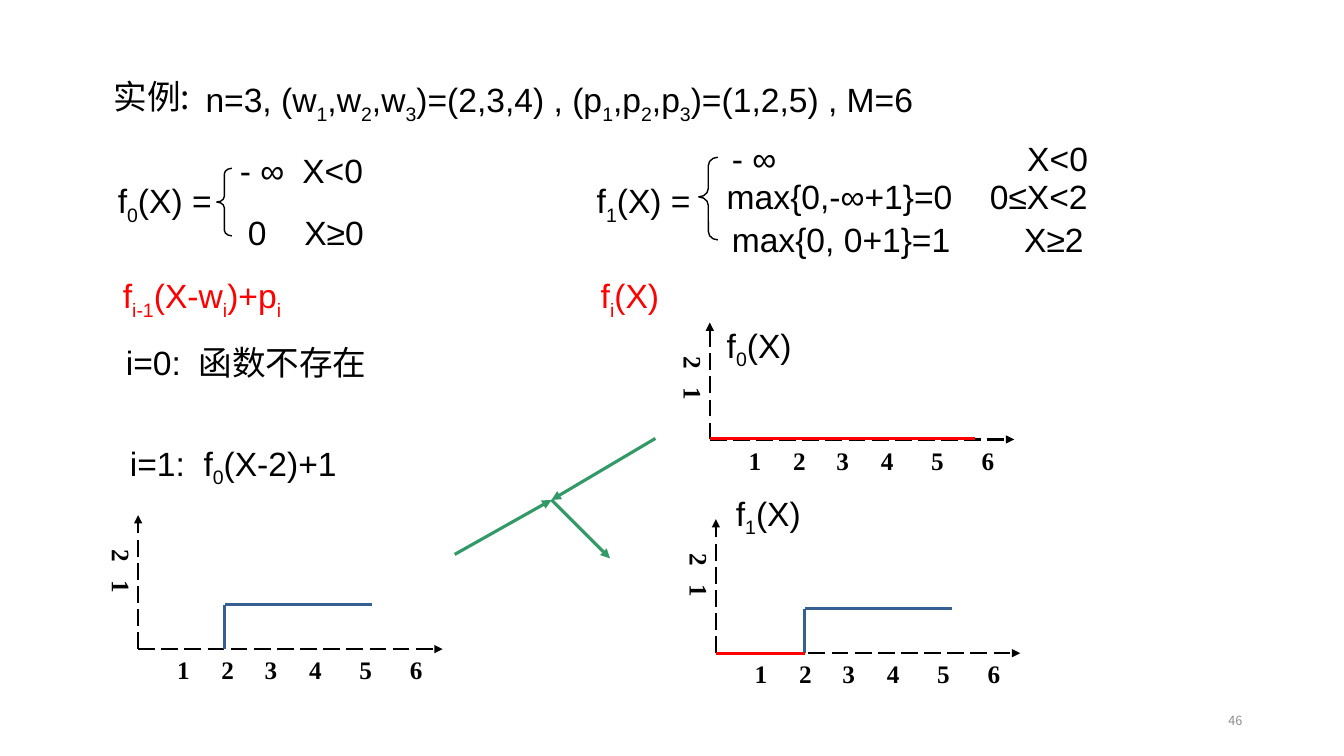
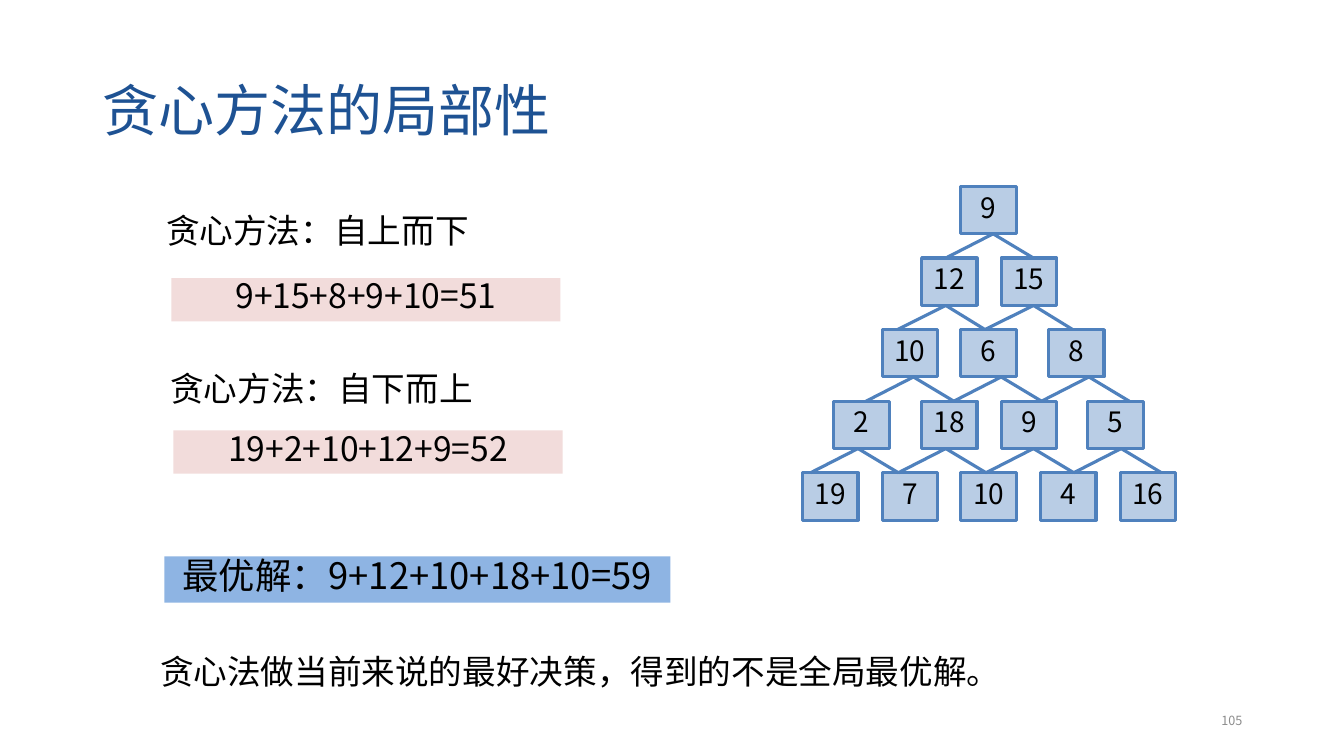
from dataclasses import dataclass
from typing import Any

from lxml import etree
from pptx import Presentation
from pptx.dml.color import RGBColor
from pptx.enum.dml import MSO_LINE
from pptx.enum.shapes import MSO_CONNECTOR, MSO_SHAPE
from pptx.enum.text import MSO_ANCHOR, PP_ALIGN
from pptx.oxml.ns import qn
from pptx.util import Inches, Pt

LEFT, CENTER, RIGHT = PP_ALIGN.LEFT, PP_ALIGN.CENTER, PP_ALIGN.RIGHT
TOP, MIDDLE = MSO_ANCHOR.TOP, MSO_ANCHOR.MIDDLE
RECT, BRACE = MSO_SHAPE.RECTANGLE, MSO_SHAPE.LEFT_BRACE
STRAIGHT = MSO_CONNECTOR.STRAIGHT
LONG_DASH = MSO_LINE.LONG_DASH


@dataclass(frozen=True)
class Theme:
    ink: str = "000000"
    red: str = "FF0000"
    green: str = "339966"
    step: str = "376092"
    title: str = "1E5293"
    muted: str = "8C8C8C"
    pink: str = "F2DCDB"
    blue: str = "8EB4E3"
    node: str = "B9CDE5"
    edge: str = "4F81BD"
    arial: str = "Arial"
    cjk: str = "Noto Sans CJK SC"
    serif: str = "Times New Roman"
    title_size: int = 40
    answer_size: int = 26
    body_size: int = 24
    node_size: int = 20
    tick_size: int = 18
    page_size: int = 9


T = Theme()


@dataclass(frozen=True)
class Style:
    font: str = T.arial
    size: int = T.body_size
    color: str = T.ink
    bold: bool = False
    align: Any = LEFT
    anchor: Any = TOP
    spacing: float = 1.0


ARIAL = Style()
RED = Style(color=T.red)
CJK = Style(font=T.cjk)
HEADING = Style(font=T.cjk, spacing=0.8)
SUM = Style(font=T.cjk, align=CENTER, spacing=0.8)
ANSWER = Style(font=T.cjk, size=T.answer_size, align=CENTER, spacing=0.8)
NODE = Style(font=T.cjk, size=T.node_size, align=CENTER, anchor=MIDDLE, spacing=0.8)
TICKS = Style(font=T.serif, size=T.tick_size, bold=True, spacing=0.9)
VTICKS = Style(font=T.serif, size=T.tick_size, bold=True)
TITLE = Style(size=T.title_size, color=T.title, anchor=MIDDLE, spacing=0.9)
PAGE = Style(font=T.cjk, size=T.page_size, color=T.muted, align=RIGHT, anchor=MIDDLE)


@dataclass(frozen=True)
class Label:
    """Text in a box; parts between ~ marks are subscripts."""
    text: str
    x: float
    y: float
    w: float
    h: float = 0.5
    style: Style = ARIAL
    tabs: tuple[float, ...] = ()
    fill: str = ""


@dataclass(frozen=True)
class Line:
    x1: float
    y1: float
    x2: float
    y2: float
    color: str
    width: float = 2.25
    arrow: bool = False
    dashed: bool = False


@dataclass(frozen=True)
class Axes:
    x: float
    y: float
    height: float


@dataclass(frozen=True)
class Brace:
    x: float
    y: float
    w: float
    h: float
    adjust: tuple[float, float]


@dataclass(frozen=True)
class TreeRow:
    values: tuple[int, ...]
    lefts: tuple[float, ...]
    edge_in: float
    edge_out: float


# Shared drawing functions
def rgb(color: str) -> RGBColor:
    return RGBColor.from_string(color)


def add_tabs(p: Any, stops: tuple[float, ...], algn: str = "l") -> None:
    tab_list = etree.SubElement(p._p.get_or_add_pPr(), qn("a:tabLst"))
    for stop in stops:
        etree.SubElement(tab_list, qn("a:tab"), pos=str(Inches(stop)), algn=algn)


def write(sp: Any, text: str, st: Style, tabs: tuple[float, ...] = (),
          tab_algn: str = "l", wrap: bool = True) -> None:
    tf = sp.text_frame
    tf.word_wrap, tf.vertical_anchor = wrap, st.anchor
    p = tf.paragraphs[0]
    p.alignment, p.line_spacing = st.align, st.spacing
    if tabs:
        add_tabs(p, tabs, tab_algn)
    font_format = {"name": st.font, "size": Pt(st.size), "bold": st.bold}
    for i, part in enumerate(text.split("~")):
        if not part:
            continue
        r = p.add_run()
        r.text = part
        for key, value in font_format.items():
            setattr(r.font, key, value)
        r.font.color.rgb = rgb(st.color)
        rpr = r._r.get_or_add_rPr()
        etree.SubElement(rpr, qn("a:ea"), typeface=T.cjk)
        if i % 2:
            rpr.set("baseline", "-25000")


def add_box(s: Any, x: float, y: float, w: float, h: float,
            fill: str, line: str = "") -> Any:
    sp = s.shapes.add_shape(RECT, Inches(x), Inches(y), Inches(w), Inches(h))
    sp.shadow.inherit = False
    sp.fill.solid()
    sp.fill.fore_color.rgb = rgb(fill)
    if line:
        sp.line.color.rgb, sp.line.width = rgb(line), Pt(2.25)
    else:
        sp.line.fill.background()
    return sp


def add_label(s: Any, b: Label) -> None:
    if b.fill:
        sp = add_box(s, b.x, b.y, b.w, b.h, b.fill)
    else:
        sp = s.shapes.add_textbox(Inches(b.x), Inches(b.y), Inches(b.w), Inches(b.h))
    write(sp, b.text, b.style, b.tabs)


def add_line(s: Any, ln: Line) -> None:
    c = s.shapes.add_connector(STRAIGHT, Inches(ln.x1), Inches(ln.y1),
                               Inches(ln.x2), Inches(ln.y2))
    c.line.color.rgb, c.line.width = rgb(ln.color), Pt(ln.width)
    if ln.dashed:
        c.line.dash_style = LONG_DASH
    if ln.arrow:
        etree.SubElement(c.line._ln, qn("a:tailEnd"), type="triangle")
    etree.SubElement(c.element.spPr, qn("a:effectLst"))


def add_brace(s: Any, b: Brace) -> None:
    sp = s.shapes.add_shape(BRACE, Inches(b.x), Inches(b.y), Inches(b.w), Inches(b.h))
    sp.shadow.inherit = False
    sp.fill.background()
    sp.line.color.rgb, sp.line.width = rgb(T.ink), Pt(1)
    for i, value in enumerate(b.adjust):
        sp.adjustments[i] = value


def add_axes(s: Any, a: Axes) -> None:
    for x2, y2 in ((a.x + 3.02, a.y), (a.x, a.y - a.height)):
        add_line(s, Line(a.x, a.y, x2, y2, T.ink, 1.5, arrow=True, dashed=True))
    sp = s.shapes.add_textbox(Inches(a.x + 0.23), Inches(a.y + 0.04),
                              Inches(3.06), Inches(0.38))
    write(sp, "\t1\t2\t3\t4\t5\t6", TICKS, (0.12, 0.56, 0.99, 1.43, 1.93, 2.43), "ctr")
    top = a.y - a.height + 0.24
    sp = s.shapes.add_textbox(Inches(a.x - 0.46), Inches(top),
                              Inches(0.5), Inches(a.y - top))
    write(sp, "2\t1", VTICKS, (0.31,))
    sp.element.txBody.bodyPr.set("vert", "eaVert")


def new_slide(prs: Any, number: int) -> Any:
    s = prs.slides.add_slide(prs.slide_layouts[6])
    add_label(s, Label(str(number), 9.42, 6.95, 3, 0.4, PAGE))
    return s


# Knapsack example
KNAPSACK_LABELS = (
    Label("f~i-1~(X-w~i~)+p~i~", 1.12, 2.68, 2.21, style=RED),
    Label("f~i~(X)", 5.86, 2.68, 1, style=RED),
    Label("i=0:\t函数不存在", 1.15, 3.34, 2.7, tabs=(0.72,)),
    Label("i=1:\tf~0~(X-2)+1", 1.19, 4.34, 2.42, tabs=(0.73,)),
    Label("f~0~(X)", 7.06, 3.17, 0.94, style=Style(align=CENTER)),
    Label("f~1~(X)", 7.2, 4.84, 0.95),
    Label("f~0~(X) =", 1.07, 1.74, 1.29),
    Label("- ∞\tX<0", 2.28, 1.44, 2.42, tabs=(0.62,)),
    Label("0\tX≥0", 2.36, 2.05, 2.12, tabs=(0.56,)),
    Label("f~1~(X) =", 5.82, 1.74, 1.29),
    Label("- ∞\tX<0", 7.16, 1.32, 3.88, tabs=(2.93,)),
    Label("max{0,-∞+1}=0\t0≤X<2", 7.11, 1.7, 4.23, tabs=(2.61,)),
    Label("max{0, 0+1}=1\tX≥2", 7.16, 2.12, 3.96, tabs=(2.9,)),
)
EXAMPLE = Label("n=3, (w~1~,w~2~,w~3~)=(2,3,4) , (p~1~,p~2~,p~3~)=(1,2,5) , M=6",
                1.94, 0.78, 10.16, 0.42, Style(spacing=0.8))
EXAMPLE_HEAD = Label("实例:", 1.03, 0.78, 1.1, 0.42, HEADING)
BRACES = (Brace(2.15, 1.67, 0.15, 0.67, (0.38, 0.5)),
          Brace(6.93, 1.56, 0.19, 0.82, (0.44, 0.48)))
AXES = (Axes(7.04, 4.36, 1.16), Axes(1.37, 6.44, 1.33), Axes(7.1, 6.48, 1.33))
KNAPSACK_LINES = (
    Line(6.5, 4.35, 5.47, 4.96, T.green, arrow=True),
    Line(4.51, 5.5, 5.47, 4.96, T.green, arrow=True),
    Line(5.47, 4.96, 6.05, 5.54, T.green, arrow=True),
    Line(7.04, 4.35, 9.67, 4.35, T.red),
    Line(2.23, 6.44, 2.23, 6, T.step),
    Line(2.23, 6, 3.69, 6, T.step),
    Line(7.98, 6.48, 7.98, 6.04, T.step),
    Line(7.98, 6.04, 9.44, 6.04, T.step),
    Line(7.1, 6.48, 7.98, 6.48, T.red),
)


def knapsack_slide(prs: Any) -> None:
    s = new_slide(prs, 46)
    for label in (EXAMPLE_HEAD, EXAMPLE, *KNAPSACK_LABELS):
        add_label(s, label)
    for brace in BRACES:
        add_brace(s, brace)
    for axes in AXES:
        add_axes(s, axes)
    for line in KNAPSACK_LINES:
        add_line(s, line)


# Greedy method on a number triangle
GREEDY_LABELS = (
    Label("贪心方法的局部性", 0.92, 0.4, 11.5, 1.45, TITLE),
    Label("贪心方法：自上而下", 1.55, 2.11, 3.23, 0.43, HEADING),
    Label("9+15+8+9+10=51", 1.7, 2.76, 3.86, 0.43, SUM, fill=T.pink),
    Label("贪心方法：自下而上", 1.59, 3.68, 3.23, 0.43, HEADING),
    Label("19+2+10+12+9=52", 1.72, 4.27, 3.86, 0.43, SUM, fill=T.pink),
    Label("最优解：9+12+10+18+10=59", 1.63, 5.52, 5.02, 0.46, ANSWER, fill=T.blue),
    Label("贪心法做当前来说的最好决策，得到的不是全局最优解。", 1.49, 6.41, 9.43, 0.5, CJK),
)
TREE = (
    TreeRow((9,), (9.53,), 0, 9.85),
    TreeRow((12, 15), (9.14, 9.93), 9.38, 9.38),
    TreeRow((10, 6, 8), (8.75, 9.53, 10.4), 8.9, 9.06),
    TreeRow((2, 18, 9, 5), (8.27, 9.14, 9.93, 10.79), 8.59, 8.51),
    TreeRow((19, 7, 10, 4, 16), (7.96, 8.75, 9.53, 10.32, 11.11), 8.04, 0),
)
TREE_TOP, ROW_STEP, EDGE_STEP = 1.85, 0.71, 0.87
NODE_W, NODE_H = 0.55, 0.47


def greedy_slide(prs: Any) -> None:
    s = new_slide(prs, 105)
    for label in GREEDY_LABELS:
        add_label(s, label)
    for i, row in enumerate(TREE):
        for value, x in zip(row.values, row.lefts):
            sp = add_box(s, x, TREE_TOP + i * ROW_STEP, NODE_W, NODE_H, T.node, T.edge)
            write(sp, str(value), NODE, wrap=False)
    for i, (parent, child) in enumerate(zip(TREE, TREE[1:])):
        y = TREE_TOP + i * ROW_STEP
        for col in range(len(parent.values)):
            for target in (col, col + 1):
                add_line(s, Line(parent.edge_out + col * EDGE_STEP, y + NODE_H,
                                 child.edge_in + target * EDGE_STEP, y + ROW_STEP, T.edge))


def main() -> None:
    prs = Presentation()
    prs.slide_width, prs.slide_height = Inches(13.33), Inches(7.5)
    knapsack_slide(prs)
    greedy_slide(prs)
    prs.save("out.pptx")


if __name__ == "__main__":
    main()
